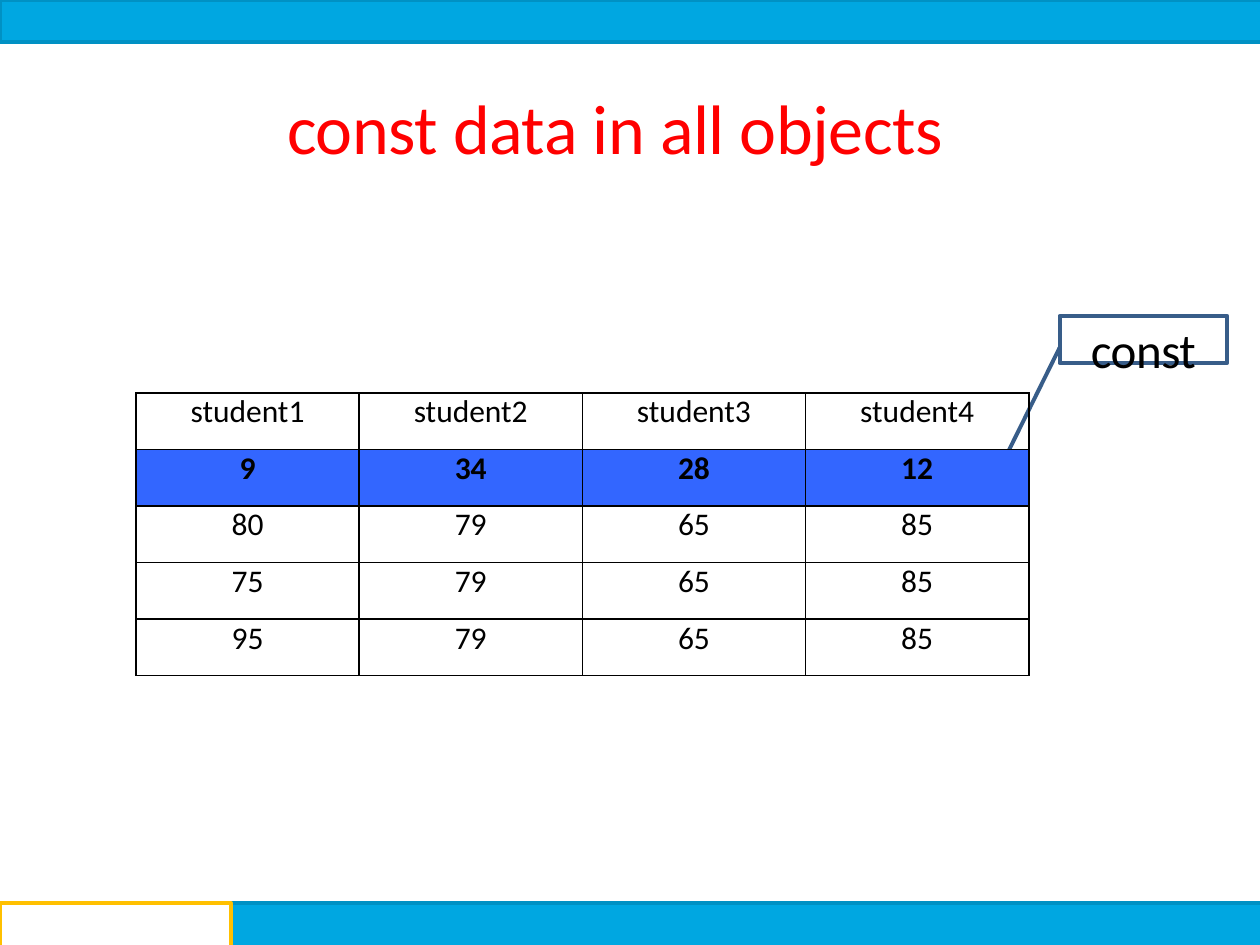
from dataclasses import dataclass

from lxml import etree
from pptx import Presentation
from pptx import util as u
from pptx.dml.color import RGBColor
from pptx.enum import shapes, text
from pptx.oxml import ns

Cm, Pt = u.Cm, u.Pt


@dataclass(frozen=True)
class Theme:
    font: str = "Calibri"
    title_size: float = 40
    label_size: float = 28
    cell_size: float = 18
    title: str = "FF0000"
    ink: str = "000000"
    paper: str = "FFFFFF"
    bar: str = "00A7E1"
    bar_edge: str = "0091C4"
    tab_edge: str = "FFC000"
    callout: str = "385D89"
    highlight: str = "3366FF"
    bar_line: float = 2.04
    accent_line: float = 2.28


T = Theme()
ROWS = [
    ["student1", "student2", "student3", "student4"],
    ["9", "34", "28", "12"],
    ["80", "79", "65", "85"],
    ["75", "79", "65", "85"],
    ["95", "79", "65", "85"],
]
CONST_ROW = 1


def rgb(value):
    return RGBColor.from_string(value)


def set_line(sp, color, width):
    sp.line.color.rgb = rgb(color)
    sp.line.width = Pt(width)


def write(tf, words, size, color, bold=False, spacing=0, align=text.PP_ALIGN.CENTER):
    p = tf.paragraphs[0]
    p.alignment = align
    r = p.add_run()
    r.text = words
    r.font.name, r.font.size, r.font.bold = T.font, Pt(size), bold
    r.font.color.rgb = rgb(color)
    if spacing:
        r.font._element.set("spc", str(spacing))
    return p


def clear_margins(tf):
    tf.margin_left = tf.margin_top = tf.margin_right = tf.margin_bottom = 0
    tf.vertical_anchor = text.MSO_ANCHOR.TOP
    tf.word_wrap = True


def add_box(s, x, y, w, h, fill=None):
    sp = s.shapes.add_shape(shapes.MSO_SHAPE.RECTANGLE, Cm(x), Cm(y), Cm(w), Cm(h))
    sp.shadow.inherit = False
    sp.line.fill.background()
    if fill:
        sp.fill.solid()
        sp.fill.fore_color.rgb = rgb(fill)
    else:
        sp.fill.background()
    return sp


def add_outline(s, points, color, width):
    start, *rest = [(Cm(x), Cm(y)) for x, y in points]
    builder = s.shapes.build_freeform(*start, scale=1.0)
    builder.add_line_segments(rest, close=False)
    sp = builder.convert_to_shape()
    sp.shadow.inherit = False
    sp.fill.background()
    set_line(sp, color, width)


def add_title(s, x, y, w, h):
    sp = s.shapes.title
    sp.left, sp.top, sp.width, sp.height = Cm(x), Cm(y), Cm(w), Cm(h)
    tf = sp.text_frame
    clear_margins(tf)
    tf.auto_size = text.MSO_AUTO_SIZE.NONE
    tf.margin_left = Cm(4.27)
    write(tf, "const data in all objects", T.title_size, T.title,
          spacing=-23, align=text.PP_ALIGN.LEFT)


def add_header(s, x, y, w, h):
    add_box(s, x, y, w, h, T.bar)
    edge = [(x + w, y + h), (x, y + h), (x, y), (x + w, y)]
    add_outline(s, edge, T.bar_edge, T.bar_line)


def add_footer(s, x, y, w, h, tab_w):
    add_box(s, x + tab_w, y, w - tab_w, h, T.bar)
    add_outline(s, [(x + w, y), (x, y), (x, y + h)], T.bar_edge, T.bar_line)
    add_box(s, x, y, tab_w, h, T.paper)
    edge = [(x + tab_w, y + h), (x + tab_w, y), (x, y), (x, y + h)]
    add_outline(s, edge, T.tab_edge, T.accent_line)


def add_callout(s, x, y, w, h):
    set_line(add_box(s, x, y, w, h), T.callout, T.accent_line)
    line = s.shapes.add_connector(shapes.MSO_CONNECTOR.STRAIGHT,
                                  Cm(x), Cm(y + 0.64), Cm(x - 1.28), Cm(y + 3.23))
    set_line(line, T.callout, T.accent_line)
    etree.SubElement(line._element.spPr, ns.qn("a:effectLst"))
    label = s.shapes.add_textbox(Cm(x), Cm(y + 0.07), Cm(w), Cm(1.07))
    clear_margins(label.text_frame)
    write(label.text_frame, "const", T.label_size, T.ink, spacing=-28)


def add_borders(cell):
    tc_pr = cell._tc.get_or_add_tcPr()
    for side in ("lnL", "lnR", "lnT", "lnB"):
        ln = etree.SubElement(tc_pr, ns.qn(f"a:{side}"), w=str(Pt(1)))
        fill = etree.SubElement(ln, ns.qn("a:solidFill"))
        etree.SubElement(fill, ns.qn("a:srgbClr"), val=T.ink)


def add_scores(s, x, y, w, h):
    table = s.shapes.add_table(len(ROWS), len(ROWS[0]),
                               Cm(x), Cm(y), Cm(w), Cm(h)).table
    table.first_row = table.horz_banding = False
    for i, row in enumerate(ROWS):
        for j, value in enumerate(row):
            cell = table.cell(i, j)
            cell.margin_left = cell.margin_right = 0
            cell.margin_top = cell.margin_bottom = 0
            add_borders(cell)
            if i == CONST_ROW:
                cell.fill.solid()
                cell.fill.fore_color.rgb = rgb(T.highlight)
            else:
                cell.fill.background()
            write(cell.text_frame, value, T.cell_size, T.ink, bold=i == CONST_ROW)


def main():
    prs = Presentation()
    prs.slide_width, prs.slide_height = Cm(25.4), Cm(19.05)
    s = prs.slides.add_slide(prs.slide_layouts[5])
    add_header(s, 0, 0, 25.4, 0.85)
    add_title(s, 1.52, 1.7, 22.38, 1.63)
    add_footer(s, 0, 18.2, 25.4, 0.85, 4.65)
    add_callout(s, 21.36, 6.37, 3.38, 0.95)
    add_scores(s, 2.74, 7.92, 18, 5.7)
    prs.save("out.pptx")


if __name__ == "__main__":
    main()
